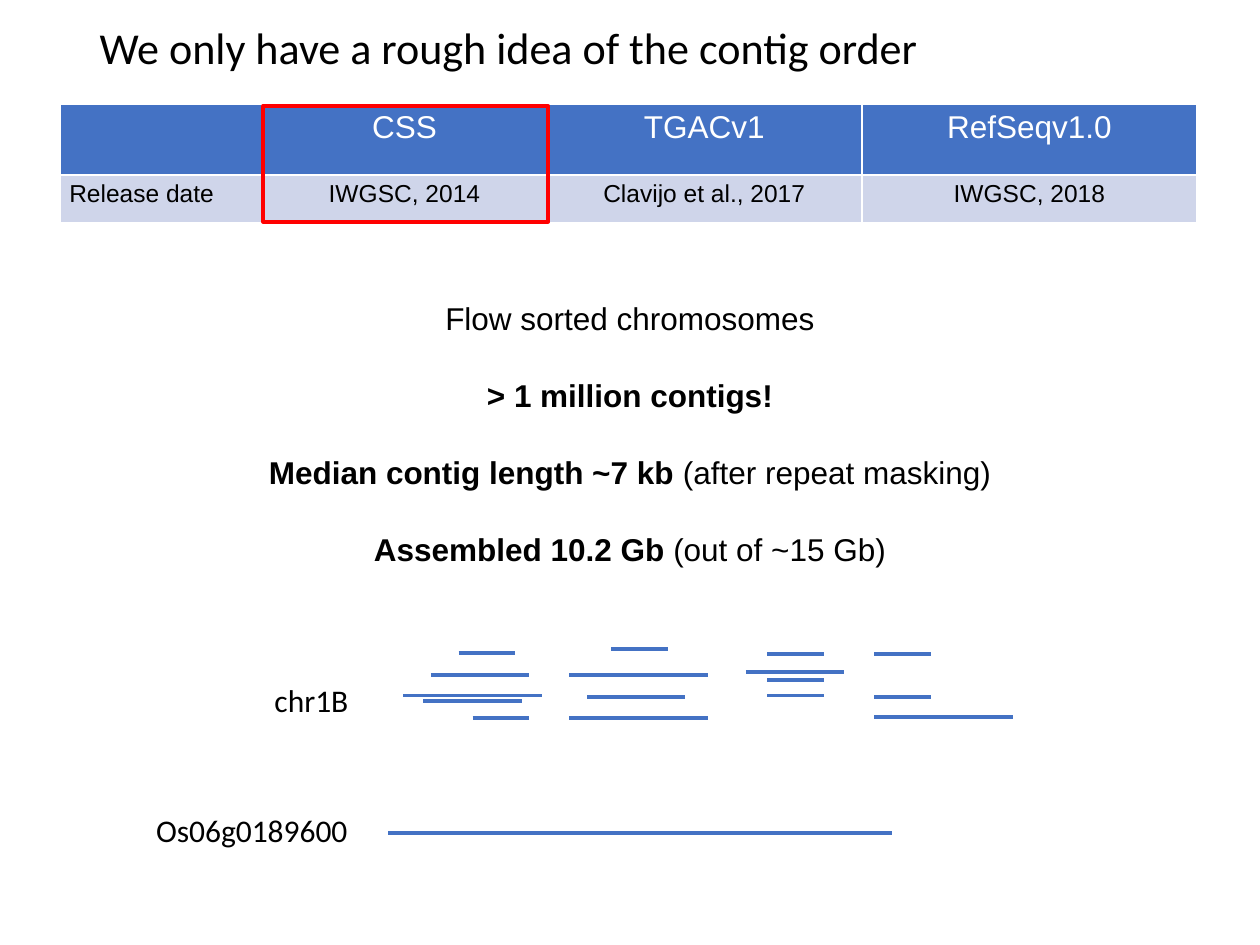
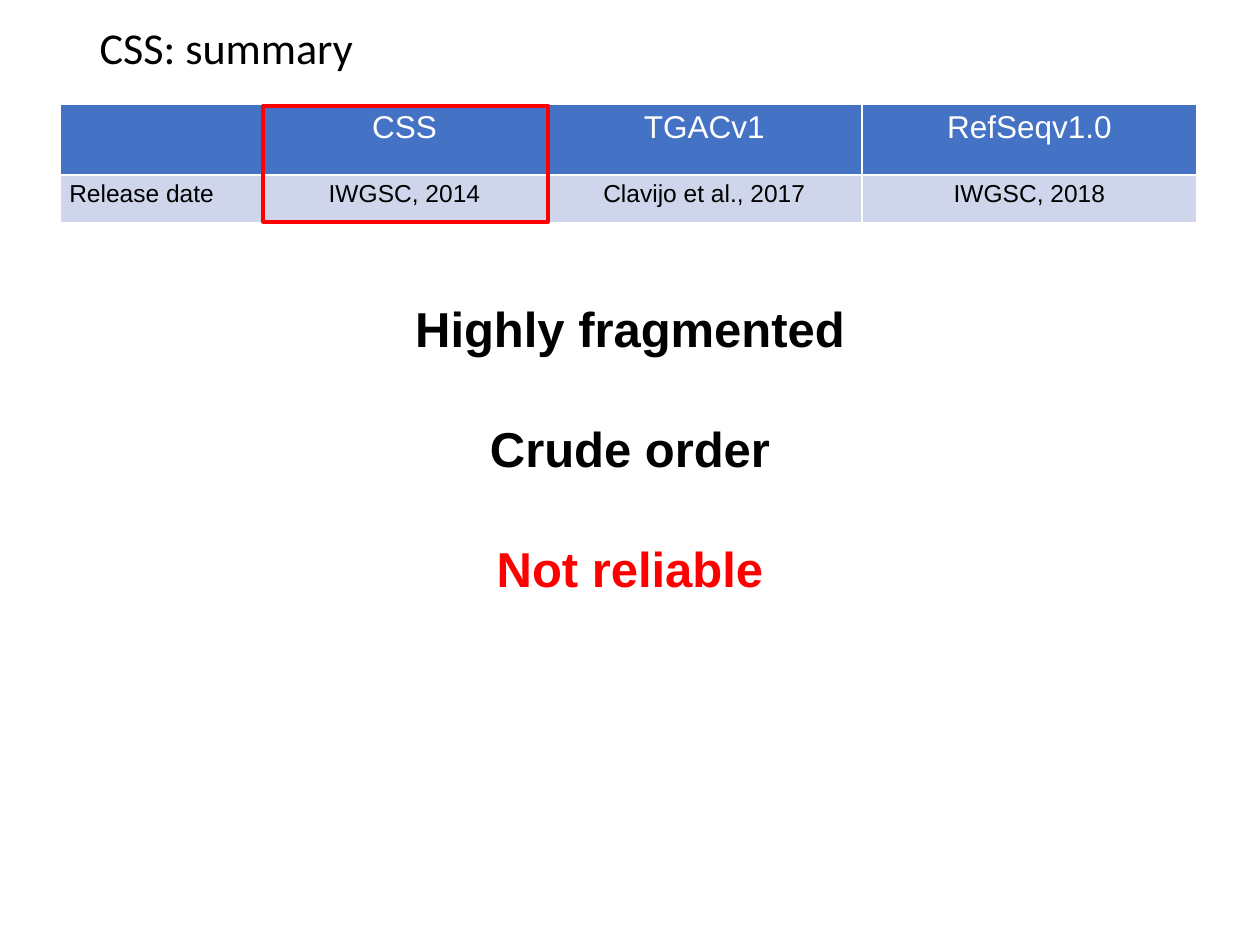
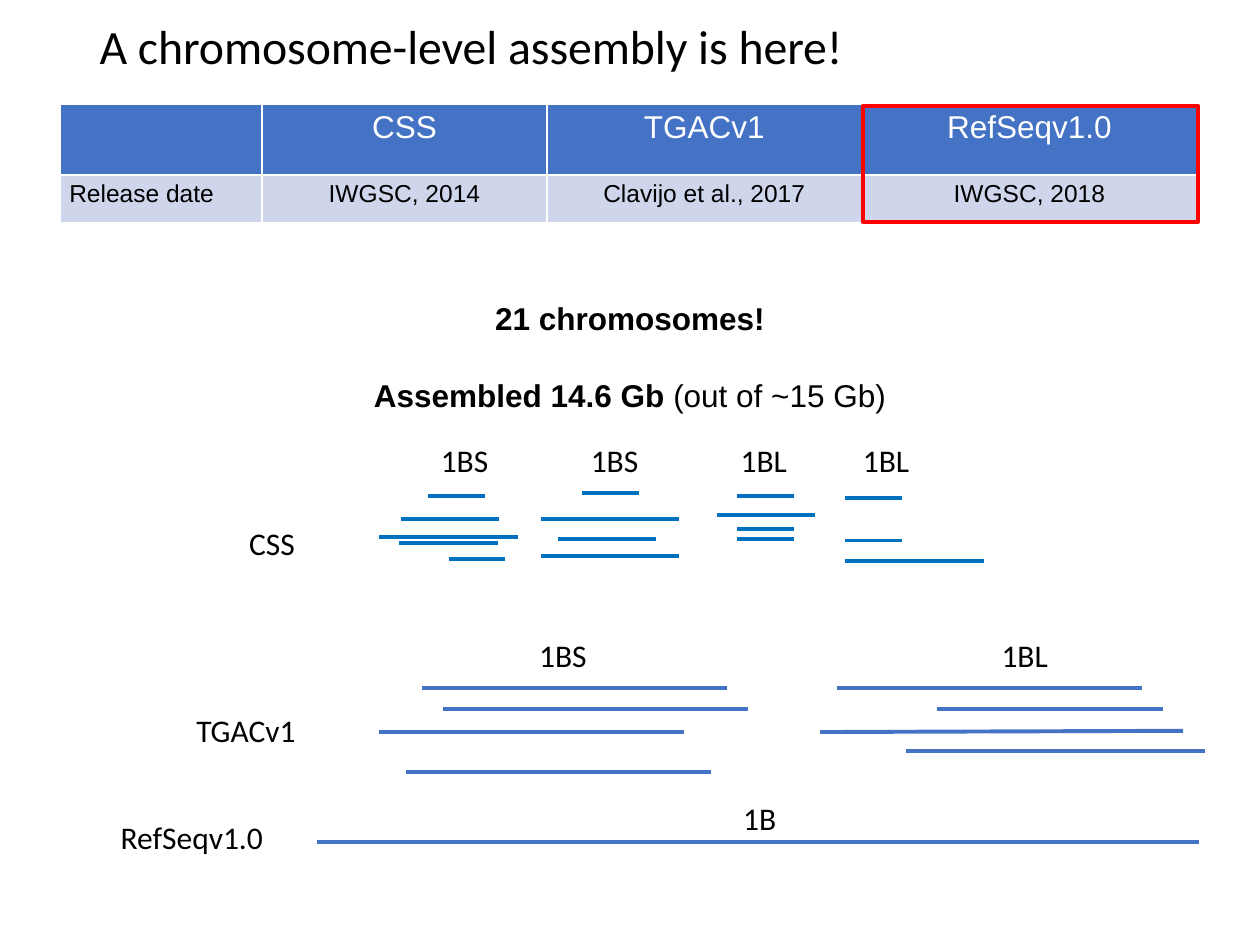
from lxml.etree import SubElement
from pptx import Presentation
from pptx.dml.color import RGBColor
from pptx.enum.shapes import MSO_CONNECTOR as Connector, MSO_SHAPE as Shape
from pptx.enum.text import MSO_ANCHOR as Anchor, MSO_AUTO_SIZE as AutoSize, PP_ALIGN as Align
from pptx.oxml.ns import qn
from pptx.util import Pt

PX = 9144  # 100 px to the inch
BLACK, WHITE, RED = "000000", "FFFFFF", "FF0000"
BLUE, PALE, BRIGHT = "4472C4", "CFD5EA", "0070C0"
LONG, MEDIUM, SHORT, SCAFFOLD = 110, 78, 45, 242

# Release table shared by the slides
TABLE_LEFT, TABLE_TOP = 48, 83
COLUMNS, ROWS = (160, 226, 250, 266), (56, 38)
RELEASES = (
    ("", "CSS", "TGACv1", "RefSeqv1.0"),
    ("Release date", "IWGSC, 2014", "Clavijo et al., 2017", "IWGSC, 2018"),
)

# Contigs: length -> (left, top) of each line
ROUGH_CONTIGS = {
    LONG: [(320, 552), (452, 536), (452, 570), (694, 569)],
    MEDIUM: [(342, 536), (336, 556), (466, 553), (592, 533)],
    SHORT: [(364, 518), (375, 570), (485, 515), (609, 519), (609, 540),
            (609, 552), (694, 519), (694, 553)],
}
CSS_CONTIGS = {
    LONG: [(301, 426), (429, 412), (429, 441), (671, 445)],
    MEDIUM: [(318, 412), (317, 431), (443, 428), (569, 409)],
    SHORT: [(340, 394), (356, 444), (462, 391), (585, 394), (585, 420),
            (585, 428), (671, 395), (671, 429)],
}
TGAC_CONTIGS = {
    SCAFFOLD: [(335, 546), (352, 563), (301, 581), (322, 613), (664, 546)],
    179: [(744, 563)],
    237: [(719, 596)],
}


def color(value):
    return RGBColor.from_string(value)


def px(*lengths):
    return [length * PX for length in lengths]


class Deck:
    def __init__(self):
        self.deck = Presentation()
        self.deck.slide_width, self.deck.slide_height = px(1000, 750)
        self.page = None

    def style(self, span, size, font="Arial", tint=BLACK, bold=False):
        span.font.size, span.font.name, span.font.bold = Pt(size), font, bold
        span.font.color.rgb = color(tint)

    def start(self, title, size=25.2, spacing=0.9):
        self.page = self.deck.slides.add_slide(self.deck.slide_layouts[5])
        box = self.page.shapes.title
        box.left, box.top, box.width, box.height = px(69, 16, 862, 48)
        frame = box.text_frame
        frame.text = title
        frame.auto_size, frame.vertical_anchor = AutoSize.NONE, Anchor.MIDDLE
        para = frame.paragraphs[0]
        para.alignment, para.line_spacing = Align.LEFT, spacing
        self.style(para.runs[0], size, "Calibri")

    def border(self, cell):
        properties = cell._tc.get_or_add_tcPr()
        for index, side in enumerate(("lnL", "lnR", "lnT", "lnB")):
            line = properties.makeelement(qn(f"a:{side}"), {"w": str(Pt(1))})
            fill = SubElement(line, qn("a:solidFill"))
            SubElement(fill, qn("a:srgbClr"), val=WHITE)
            properties.insert(index, line)

    def releases(self, marked):
        """Draw the release table with a red frame around one column."""
        frame = self.page.shapes.add_table(
            len(ROWS), len(COLUMNS),
            *px(TABLE_LEFT, TABLE_TOP, sum(COLUMNS), sum(ROWS)))
        table = frame.table
        for column, width in zip(table.columns, COLUMNS):
            column.width = width * PX
        for row, height in zip(table.rows, ROWS):
            row.height = height * PX
        looks = ((18, WHITE, BLUE), (14, BLACK, PALE))
        for r, (texts, (size, tint, back)) in enumerate(zip(RELEASES, looks)):
            for c, text in enumerate(texts):
                cell = table.cell(r, c)
                cell.margin_left, cell.margin_right = px(7, 7)
                cell.margin_top, cell.margin_bottom = px(4, 4)
                cell.fill.solid()
                cell.fill.fore_color.rgb = color(back)
                self.border(cell)
                if text:
                    cell.text_frame.text = text
                    para = cell.text_frame.paragraphs[0]
                    para.alignment = Align.CENTER if c else Align.LEFT
                    self.style(para.runs[0], size, tint=tint)
        left = TABLE_LEFT + sum(COLUMNS[:marked]) + 1
        mark = self.page.shapes.add_shape(
            Shape.RECTANGLE, *px(left, TABLE_TOP + 1, COLUMNS[marked], 92))
        mark.shadow.inherit = False
        mark.fill.background()
        mark.line.color.rgb, mark.line.width = color(RED), Pt(2.25)

    def statements(self, height, size, *lines):
        """Centre lines of (bold text, plain text, colour)."""
        box = self.page.shapes.add_textbox(*px(0, 232, 1000, height))
        frame = box.text_frame
        frame.word_wrap = True
        for index, (strong, plain, tint) in enumerate(lines):
            para = frame.add_paragraph() if index else frame.paragraphs[0]
            para.alignment = Align.CENTER
            if index:
                para.space_before = Pt(1.25 * size)
            for text, bold in ((strong, True), (plain, False)):
                if text:
                    span = para.add_run()
                    span.text = text
                    self.style(span, size, tint=tint, bold=bold)

    def label(self, text, left, top, width):
        box = self.page.shapes.add_textbox(*px(left, top, width, 40))
        frame = box.text_frame
        frame.text = text
        frame.word_wrap, frame.auto_size = False, AutoSize.SHAPE_TO_FIT_TEXT
        self.style(frame.paragraphs[0].runs[0], 18, "Calibri")

    def line(self, left, top, right, bottom, tint=BLUE):
        line = self.page.shapes.add_connector(
            Connector.STRAIGHT, *px(left, top, right, bottom))
        line.line.color.rgb, line.line.width = color(tint), Pt(2.25)
        SubElement(line._element.spPr, qn("a:effectLst"))

    def contigs(self, groups, tint=BLUE):
        for length, starts in groups.items():
            for left, top in starts:
                self.line(left, top, left + length, top, tint)


def main():
    deck = Deck()

    # Rough contig order
    deck.start("We only have a rough idea of the contig order")
    deck.releases(marked=1)
    deck.statements(
        222, 18,
        ("", "Flow sorted chromosomes", BLACK),
        ("> 1 million contigs!", "", BLACK),
        ("Median contig length ~7 kb ", "(after repeat masking)", BLACK),
        ("Assembled 10.2 Gb ", "(out of ~15 Gb)", BLACK))
    deck.label("chr1B", 208, 536, 79)
    deck.contigs(ROUGH_CONTIGS)
    deck.label("Os06g0189600", 114, 639, 174)
    deck.line(308, 661, 708, 661)

    # Summary
    deck.start("CSS: summary")
    deck.releases(marked=1)
    deck.statements(
        246, 28,
        ("Highly fragmented", "", BLACK),
        ("Crude order", "", BLACK),
        ("Not reliable", "", RED))

    # Chromosome-level assembly
    deck.start("A chromosome-level assembly is here!", 27.3, 0.8)
    deck.releases(marked=3)
    deck.statements(
        101, 18,
        ("21 chromosomes!", "", BLACK),
        ("Assembled 14.6 Gb ", "(out of ~15 Gb)", BLACK))
    deck.label("CSS", 188, 411, 57)
    for arm, left in (("1BS", 340), ("1BS", 459), ("1BL", 578), ("1BL", 675)):
        deck.label(arm, left, 345, 58)
    deck.contigs(CSS_CONTIGS, BRIGHT)
    deck.label("TGACv1", 146, 559, 100)
    for arm, left in (("1BS", 418), ("1BL", 785)):
        deck.label(arm, left, 500, 58)
    deck.contigs(TGAC_CONTIGS)
    deck.line(651, 581, 939, 580)
    deck.label("RefSeqv1.0", 86, 644, 134)
    deck.label("1B", 580, 629, 47)
    deck.line(252, 668, 952, 668)

    deck.deck.save("out.pptx")


if __name__ == "__main__":
    main()
